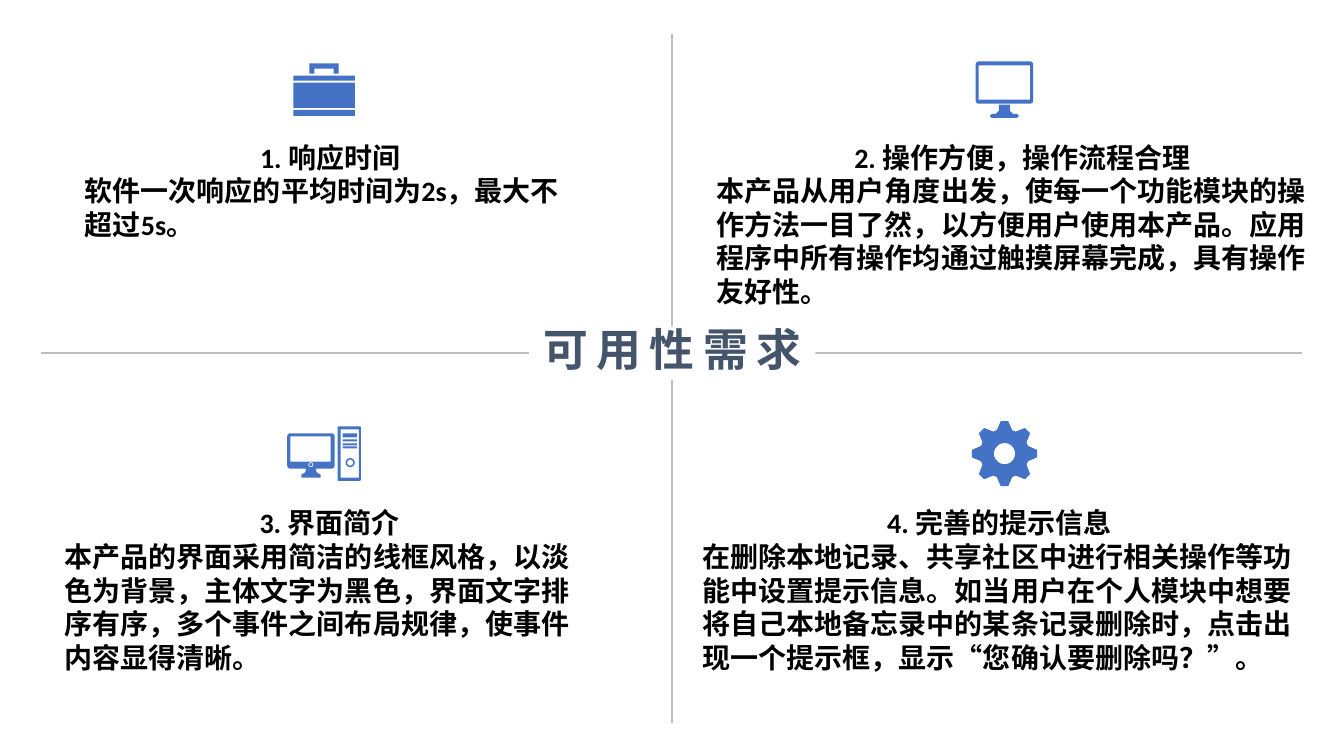
"""Build a four-quadrant slide on usability requirements."""
from dataclasses import dataclass
from math import cos, pi, sin

from lxml import etree
from pptx import Presentation
from pptx.dml.color import RGBColor
from pptx.enum.shapes import MSO_CONNECTOR
from pptx.enum.text import MSO_ANCHOR, MSO_AUTO_SIZE, PP_ALIGN
from pptx.oxml.ns import qn
from pptx.util import Inches, Pt

CENTER, LEFT = PP_ALIGN.CENTER, PP_ALIGN.LEFT
MIDDLE = MSO_ANCHOR.MIDDLE
GROW, FIXED = MSO_AUTO_SIZE.SHAPE_TO_FIT_TEXT, MSO_AUTO_SIZE.NONE
STRAIGHT = MSO_CONNECTOR.STRAIGHT
FONT = "Calibri"
BLUE, GRAY, SLATE, BLACK, WHITE = "4472C4", "BFBFBF", "44546A", "000000", "FFFFFF"
WIDTH, HEIGHT = Inches(13.333), Inches(7.5)
MIL = Inches(1) / 1000
ICON_X, ICON_Y = (24.11, 74.74), (11.87, 60)
TEXT_Y = (18.13, 66.53)

Contour = list[tuple[float, float]]


@dataclass
class Quadrant:
    """One requirement: grid cell, text box in percent of the slide, icon in mils."""
    col: int
    row: int
    left: float
    width: float
    height: float
    heading: str
    body: str
    icon: list[Contour]


def across(share: float) -> int:
    """Turn a percentage of the slide width into a length."""
    return round(WIDTH * share / 100)


def down(share: float) -> int:
    """Turn a percentage of the slide height into a length."""
    return round(HEIGHT * share / 100)


def color(value: str) -> RGBColor:
    """Turn a hex string into a colour."""
    return RGBColor.from_string(value)


def box(x: float, y: float, w: float, h: float) -> Contour:
    """Outline a rectangle."""
    return [(x, y), (x + w, y), (x + w, y + h), (x, y + h)]


def arc(x: float, y: float, radius: float, start: float, sweep: float, steps: int) -> Contour:
    """Sample an arc; angles are in degrees."""
    angles = [(start + sweep * i / steps) * pi / 180 for i in range(steps + 1)]
    return [(x + radius * cos(a), y + radius * sin(a)) for a in angles]


def circle(x: float, y: float, radius: float) -> Contour:
    """Outline a circle."""
    return arc(x, y, radius, 0, 360, 36)


def rounded(x: float, y: float, w: float, h: float, radius: float) -> Contour:
    """Outline a rectangle with rounded corners."""
    corners = box(x + radius, y + radius, w - 2 * radius, h - 2 * radius)
    return [p for i, (cx, cy) in enumerate(corners)
            for p in arc(cx, cy, radius, 180 + 90 * i, 90, 6)]


def mirrored(half: Contour) -> Contour:
    """Complete a right half with its mirror image about x = 0."""
    return half + [(-x, y) for x, y in reversed(half)]


def shifted(contour: Contour, dx: float) -> Contour:
    """Move a contour sideways."""
    return [(x + dx, y) for x, y in contour]


def gear() -> Contour:
    """Outline a wheel with eight teeth."""
    profile = [(245, -18), (325, -6.5), (325, 6.5), (245, 18)]
    return [arc(0, 0, radius, 45 * tooth + turn, 0, 1)[0]
            for tooth in range(8) for radius, turn in profile]


BRIEFCASE = [
    mirrored([(95, -210), (95, -160), (145, -160), (145, -260)]),
    *[box(-305, y, 610, h) for y, h in ((-140, 50), (-70, 250), (200, 60))],
]
MONITOR = [
    rounded(-285, -280, 570, 420, 30),
    box(-255, -240, 510, 340),
    mirrored([(55, 150), (55, 210), (85, 240), (125, 240), (145, 260), (125, 280)]),
]
DESKTOP = [
    rounded(-365, -200, 470, 350, 30),
    box(-335, -170, 400, 250),
    circle(-130, 110, 25),
    circle(-130, 110, 15),
    shifted(mirrored([(50, 150), (55, 185), (95, 210), (95, 240)]), -130),
    rounded(135, -270, 230, 540, 10),
    box(165, -240, 180, 480),
    *[box(185, y, 140, h) for y, h in ((-200, 40), (-140, 20), (-100, 20), (-70, 20))],
    circle(260, 90, 45),
    circle(260, 90, 30),
]
GEAR = [gear(), circle(0, 0, 105)]

QUADRANTS = [
    Quadrant(0, 0, 5.78, 37.58, 14.4, "1. 响应时间",
             "软件一次响应的平均时间为2s，最大不超过5s。", BRIEFCASE),
    Quadrant(1, 0, 52.8, 46.58, 23.33, "2. 操作方便，操作流程合理",
             "本产品从用户角度出发，使每一个功能模块的操作方法一目了然，以方便用户使用本产品。"
             "应用程序中所有操作均通过触摸屏幕完成，具有操作友好性。", MONITOR),
    Quadrant(0, 1, 4.28, 40.5, 23.33, "3. 界面简介",
             "本产品的界面采用简洁的线框风格，以淡色为背景，主体文字为黑色，界面文字排序有序，"
             "多个事件之间布局规律，使事件内容显得清晰。", DESKTOP),
    Quadrant(1, 1, 51.75, 45.23, 23.33, "4. 完善的提示信息",
             "在删除本地记录、共享社区中进行相关操作等功能中设置提示信息。如当用户在个人模块中"
             "想要将自己本地备忘录中的某条记录删除时，点击出现一个提示框，"
             "显示“您确认要删除吗？”。", GEAR),
]


def add_run(p, text: str, size: float, fill: str):
    """Add a bold run to a paragraph."""
    r = p.add_run()
    r.text = text
    r.font.name, r.font.size, r.font.bold = FONT, Pt(size), True
    r.font.color.rgb = color(fill)
    return r


def add_divider(s, x1: float, y1: float, x2: float, y2: float) -> None:
    """Draw a gray line between two points given in percent."""
    line = s.shapes.add_connector(STRAIGHT, across(x1), down(y1), across(x2), down(y2))
    line.line.color.rgb = color(GRAY)
    line.line.width = Pt(1.5)
    etree.SubElement(line.element.spPr, qn("a:effectLst"))


def add_icon(s, x: float, y: float, contours: list[Contour]) -> None:
    """Draw contours as one blue shape centred on a point given in percent."""
    cx, cy = across(x) / MIL, down(y) / MIL
    placed = [[(cx + px, cy + py) for px, py in contour] for contour in contours]
    builder = s.shapes.build_freeform(*placed[0][0], scale=MIL)
    for contour in placed:
        if contour is not placed[0]:
            builder.move_to(*contour[0])
        builder.add_line_segments(contour[1:], close=True)
    sp = builder.convert_to_shape()
    sp.fill.solid()
    sp.fill.fore_color.rgb = color(BLUE)
    sp.line.fill.background()
    sp.shadow.inherit = False


def add_quadrant(s, q: Quadrant) -> None:
    """Draw a requirement's text and icon."""
    sp = s.shapes.add_textbox(across(q.left), down(TEXT_Y[q.row]), across(q.width), down(q.height))
    tf = sp.text_frame
    tf.word_wrap, tf.auto_size = True, GROW
    tf.margin_left = tf.margin_right = Inches(0.07)
    tf.margin_top = tf.margin_bottom = Inches(0.03)
    for p, text, align in ((tf.paragraphs[0], q.heading, CENTER),
                           (tf.add_paragraph(), q.body, LEFT)):
        p.alignment = align
        add_run(p, text, 20, BLACK)
    add_icon(s, ICON_X[q.col], ICON_Y[q.row], q.icon)


def add_title(s, text: str) -> None:
    """Place the title over the crossing of the dividers."""
    sp = s.shapes.title
    sp.left, sp.top, sp.width, sp.height = across(39.38), down(43.2), across(21.3), down(7.07)
    sp.fill.solid()
    sp.fill.fore_color.rgb = color(WHITE)
    tf = sp.text_frame
    tf.word_wrap, tf.auto_size, tf.vertical_anchor = False, FIXED, MIDDLE
    tf.margin_top = tf.margin_bottom = 0
    p = tf.paragraphs[0]
    p.alignment, p.line_spacing = CENTER, 0.8
    add_run(p, text, 32, SLATE).font._element.set("spc", "600")
    sp.element.getparent().append(sp.element)


def main() -> None:
    """Build and save the slide."""
    prs = Presentation()
    prs.slide_width, prs.slide_height = WIDTH, HEIGHT
    s = prs.slides.add_slide(prs.slide_layouts[5])
    add_divider(s, 50, 4.53, 50, 95.6)
    add_divider(s, 3.08, 46.67, 96.9, 46.67)
    for q in QUADRANTS:
        add_quadrant(s, q)
    add_title(s, "可用性需求")
    prs.save("out.pptx")


if __name__ == "__main__":
    main()
